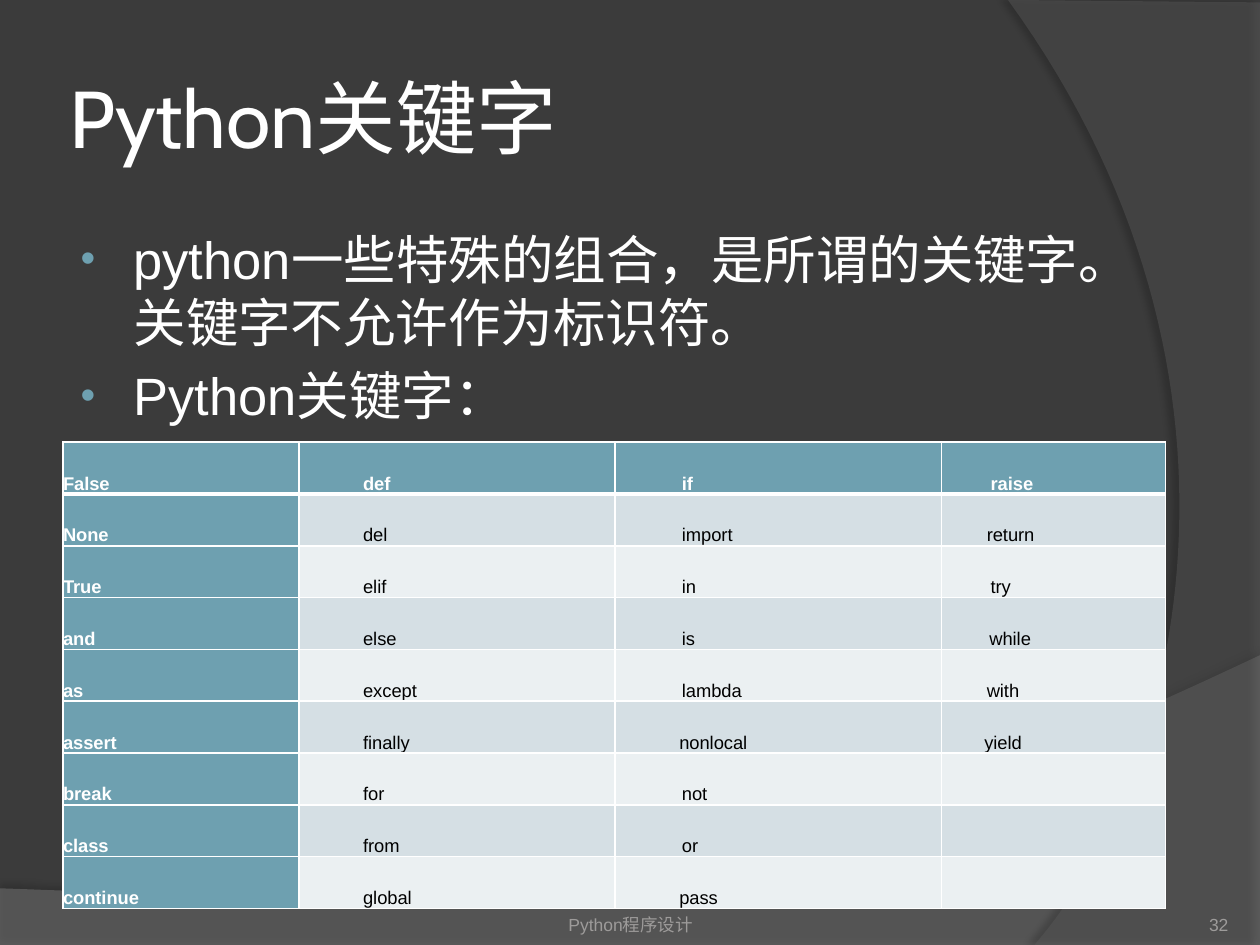
"""Build a slide that lists the Python keywords in a table."""
from lxml import etree
from pptx import Presentation
from pptx.dml.color import RGBColor
from pptx.enum.text import MSO_ANCHOR, MSO_AUTO_SIZE, PP_ALIGN
from pptx.oxml.ns import qn
from pptx.util import Pt

LEFT, CENTER, RIGHT = PP_ALIGN.LEFT, PP_ALIGN.CENTER, PP_ALIGN.RIGHT
TOP, MIDDLE, BOTTOM = MSO_ANCHOR.TOP, MSO_ANCHOR.MIDDLE, MSO_ANCHOR.BOTTOM
NO_AUTOFIT = MSO_AUTO_SIZE.NONE

COLORS = {
    "background": "3B3B3B", "wave": "7F7F7F", "arc": "5E5E5E",
    "shadow": "000000", "white": "FFFFFF", "black": "000000",
    "accent": "6EA0B0", "footer": "9D9B9A",
    "band_dark": "D5DFE4", "band_light": "EBF0F2",
}
TITLE = "Python关键字"
BULLETS = [
    "python一些特殊的组合，是所谓的关键字。关键字不允许作为标识符。",
    "Python关键字：",
]
KEYWORD_COLUMNS = [
    "False None True and as assert break class continue".split(),
    "def del elif else except finally for from global".split(),
    "if import in is lambda nonlocal not or pass".split(),
    "raise return try while with yield".split(),
]
COLUMN_WIDTHS = [134.8, 180.7, 186.5, 128]
COLUMN_INDENTS = [0, 36.7, 38.2, 28.1]
WORD_INDENTS = {"nonlocal": 36.7, "pass": 36.7, "return": 25.9,
                "while": 27.4, "with": 25.9, "yield": 24.5}
ROW_COUNT = 9
ROW_HEIGHT = 29.6


def rgb(name):
    return RGBColor.from_string(COLORS[name])


def add_xml(parent, tag, **attributes):
    values = {key: str(value) for key, value in attributes.items()}
    return etree.SubElement(parent, qn(tag), values)


def write_text(paragraph, text, size=10, font="Arial", color="white",
               bold=False, align=LEFT, margin=0, indent=0):
    paragraph.alignment = align
    properties = paragraph._p.get_or_add_pPr()
    properties.set("marL", str(Pt(margin)))
    properties.set("indent", str(Pt(indent)))
    run = paragraph.add_run()
    run.text = text
    run.font.size = Pt(size)
    run.font.name = font
    run.font.bold = bold
    run.font.color.rgb = rgb(color)


def add_bullet(paragraph):
    properties = paragraph._p.get_or_add_pPr()
    add_xml(add_xml(properties, "a:buClr"), "a:srgbClr", val=COLORS["accent"])
    add_xml(properties, "a:buSzPct", val=80000)
    add_xml(properties, "a:buFont", typeface="Arial")
    add_xml(properties, "a:buChar", char="•")


def set_frame(frame, anchor, left, top, right, bottom):
    frame.word_wrap = True
    frame.auto_size = NO_AUTOFIT
    frame.vertical_anchor = anchor
    frame.margin_left, frame.margin_top = Pt(left), Pt(top)
    frame.margin_right, frame.margin_bottom = Pt(right), Pt(bottom)


def place(shape, left, top, width, height):
    shape.left, shape.top = Pt(left), Pt(top)
    shape.width, shape.height = Pt(width), Pt(height)


def curve_points(start, control_1, control_2, end, steps=60):
    points = []
    for step in range(1, steps + 1):
        t = step / steps
        weights = ((1 - t) ** 3, 3 * t * (1 - t) ** 2, 3 * t * t * (1 - t), t ** 3)
        corners = (start, control_1, control_2, end)
        points.append(tuple(sum(w * corner[axis] for w, corner in zip(weights, corners))
                            for axis in (0, 1)))
    return points


def add_backdrop(slide, corners, curve, color, opacity, shadow):
    points = [(Pt(x), Pt(y)) for x, y in corners + curve_points(corners[-1], *curve)]
    builder = slide.shapes.build_freeform(*points[0])
    builder.add_line_segments(points[1:], close=True)
    shape = builder.convert_to_shape()
    shape.shadow.inherit = False
    shape.line.fill.background()
    shape.fill.solid()
    shape.fill.fore_color.rgb = rgb(color)
    properties = shape.element.spPr
    fill_color = properties.find(qn("a:solidFill")).find(qn("a:srgbClr"))
    add_xml(fill_color, "a:alpha", val=opacity * 1000)
    alpha, blur, distance, direction = shadow
    outer = add_xml(properties.find(qn("a:effectLst")), "a:outerShdw",
                    blurRad=Pt(blur), dist=Pt(distance), dir=direction * 60000,
                    algn="ctr", rotWithShape=0)
    shadow_color = add_xml(outer, "a:srgbClr", val=COLORS["shadow"])
    add_xml(shadow_color, "a:alpha", val=alpha * 1000)


def add_title(slide):
    title = slide.shapes.title
    title.element.getparent().append(title.element)
    place(title, 36, 21.6, 588, 90)
    set_frame(title.text_frame, MIDDLE, 3.6, 3.6, 3.6, 3.6)
    write_text(title.text_frame.paragraphs[0], TITLE, size=46, font="Cabin")


def add_body(slide):
    body = slide.placeholders[1]
    body.element.getparent().append(body.element)
    place(body, 36, 126, 588, 356.4)
    frame = body.text_frame
    set_frame(frame, TOP, 7.2, 3.6, 7.2, 3.6)
    for index, text in enumerate(BULLETS):
        paragraph = frame.add_paragraph() if index else frame.paragraphs[0]
        write_text(paragraph, text, size=30, margin=33.1, indent=-30.2)
        add_bullet(paragraph)


def add_footer(slide, text, left, width, align, top_margin):
    box = slide.shapes.add_textbox(Pt(left), Pt(505.4), Pt(width), Pt(28.8))
    set_frame(box.text_frame, BOTTOM, 0, top_margin, 0, 0)
    write_text(box.text_frame.paragraphs[0], text, color="footer", align=align)


def set_borders(cell, top, bottom):
    properties = cell._tc.get_or_add_tcPr()
    for side, width in (("L", 1), ("R", 1), ("T", top), ("B", bottom)):
        line = add_xml(properties, f"a:ln{side}", w=Pt(width))
        add_xml(add_xml(line, "a:solidFill"), "a:srgbClr", val=COLORS["white"])


def format_cell(cell, row, column):
    set_borders(cell, top=3 if row == 1 else 1, bottom=1 if row else 3)
    heading = row == 0 or column == 0
    band = "band_dark" if row % 2 else "band_light"
    cell.fill.solid()
    cell.fill.fore_color.rgb = rgb("accent" if heading else band)
    cell.vertical_anchor = BOTTOM
    cell.margin_left = cell.margin_right = Pt(0)
    cell.margin_top = cell.margin_bottom = Pt(0)
    words = KEYWORD_COLUMNS[column]
    if row < len(words):
        word = words[row]
        paragraph = cell.text_frame.paragraphs[0]
        paragraph.line_spacing = 1.07
        paragraph.space_after = Pt(8)
        write_text(paragraph, word, size=10.5, bold=heading,
                   color="white" if heading else "black",
                   indent=WORD_INDENTS.get(word, COLUMN_INDENTS[column]))


def add_keyword_table(slide):
    table = slide.shapes.add_table(
        ROW_COUNT, len(COLUMN_WIDTHS), Pt(36), Pt(252.7),
        Pt(sum(COLUMN_WIDTHS)), Pt(ROW_HEIGHT * ROW_COUNT)).table
    table.first_col = True
    for column, width in enumerate(COLUMN_WIDTHS):
        table.columns[column].width = Pt(width)
    for row in range(ROW_COUNT):
        table.rows[row].height = Pt(ROW_HEIGHT)
        for column in range(len(COLUMN_WIDTHS)):
            format_cell(table.cell(row, column), row, column)


def main():
    presentation = Presentation()
    presentation.slide_width, presentation.slide_height = Pt(720), Pt(540)
    slide = presentation.slides.add_slide(presentation.slide_layouts[1])
    slide.background.fill.solid()
    slide.background.fill.fore_color.rgb = rgb("background")
    add_backdrop(slide, [(0, 507.6), (0, 540.7), (720, 540.7), (720, 374.4)],
                 [(402.5, 524.9), (281.5, 517.7), (0, 507.6)],
                 "wave", 45, (35, 4, 3.5, 270))
    add_backdrop(slide, [(720, 1.4), (720, 540), (591.1, 540)],
                 [(673.2, 445.7), (733, 216), (576, 0)],
                 "arc", 40, (45, 4, 4, 180))
    add_title(slide)
    add_body(slide)
    add_footer(slide, "Python程序设计", 246.2, 228.2, CENTER, 3.6)
    add_footer(slide, "32", 642.2, 59.8, RIGHT, 0)
    add_keyword_table(slide)
    presentation.save("out.pptx")


if __name__ == "__main__":
    main()
